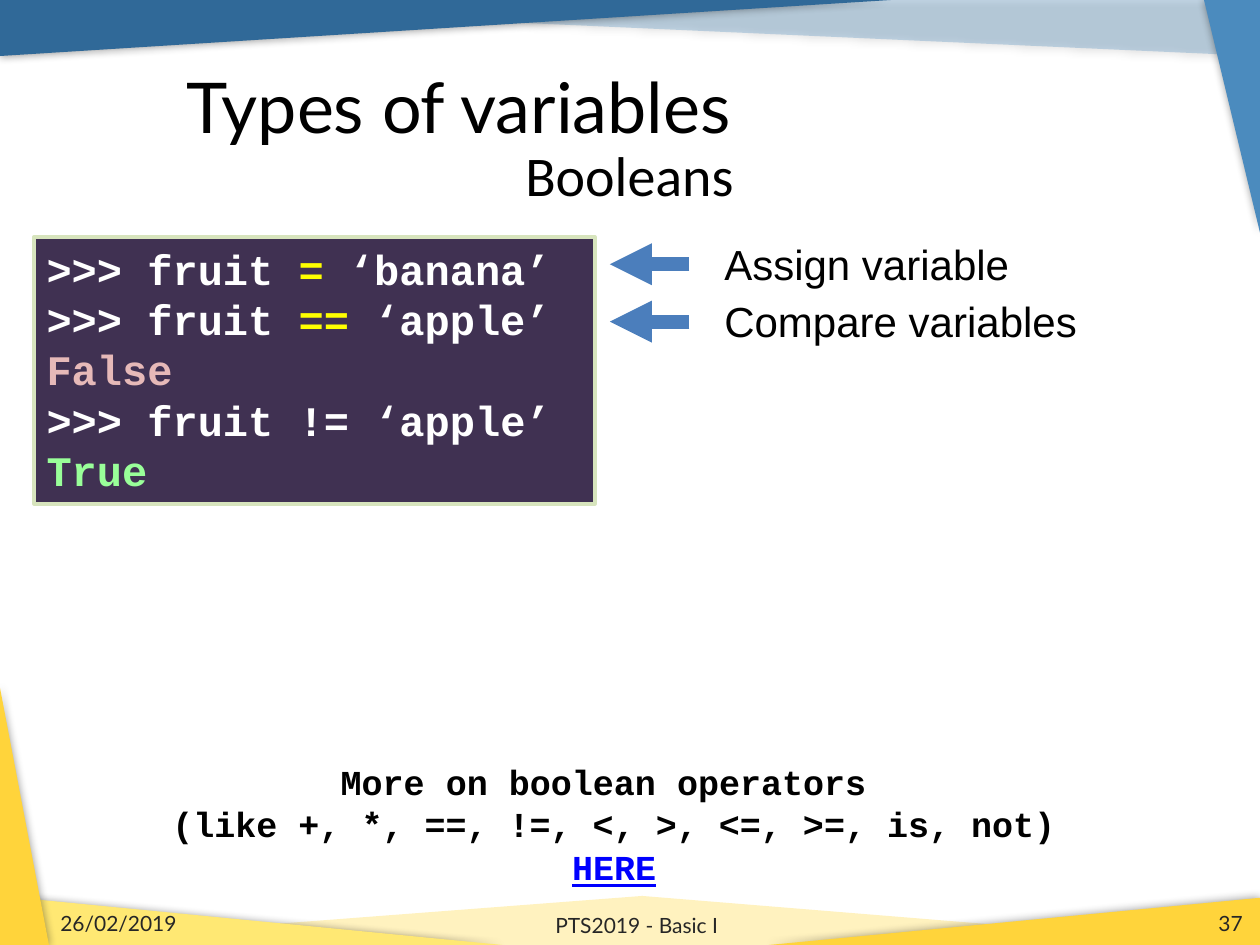
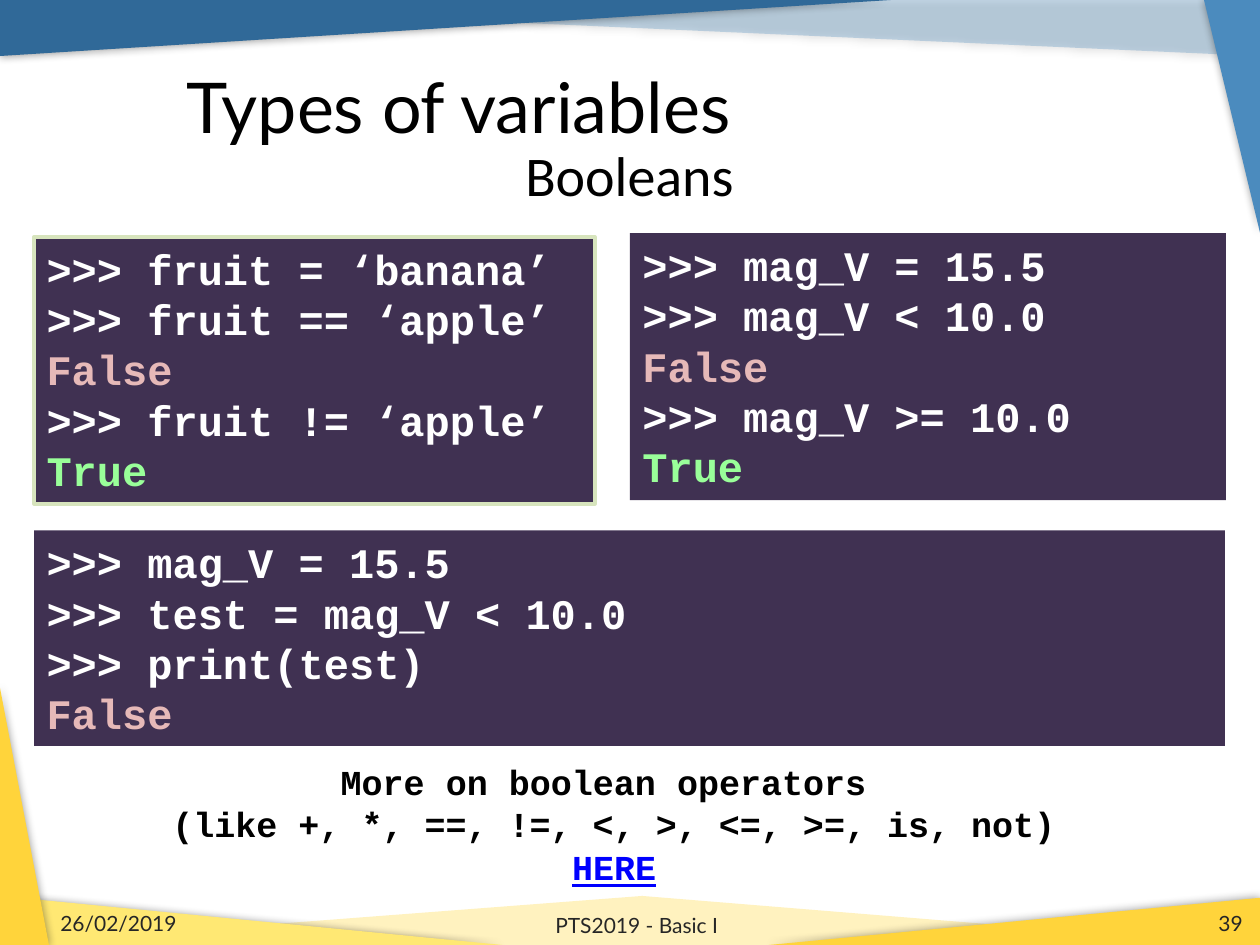
from lxml import etree
from pptx import Presentation
from pptx.dml.color import RGBColor
from pptx.enum import shapes, text
from pptx.oxml import ns
from pptx.util import Pt

BLACK = RGBColor(0x00, 0x00, 0x00)
WHITE = RGBColor(0xFF, 0xFF, 0xFF)
GREY = RGBColor(0x26, 0x26, 0x26)
DEEP_BLUE = RGBColor(0x30, 0x69, 0x98)
SKY_BLUE = RGBColor(0x4B, 0x8B, 0xBE)
ARROW_BLUE = RGBColor(0x4B, 0x7E, 0xBC)
LINK_BLUE = RGBColor(0x00, 0x00, 0xFF)
GOLD = RGBColor(0xFF, 0xD4, 0x3B)
LEMON = RGBColor(0xFF, 0xE8, 0x73)
CREAM = RGBColor(0xFF, 0xF2, 0xBF)
PURPLE = RGBColor(0x40, 0x31, 0x52)
PALE_GREEN = RGBColor(0xD7, 0xE4, 0xBD)
YELLOW = RGBColor(0xFF, 0xFF, 0x00)
PINK = RGBColor(0xE6, 0xB9, 0xB8)
MINT = RGBColor(0x99, 0xFF, 0x99)

LEFT = text.PP_ALIGN.LEFT
CENTER = text.PP_ALIGN.CENTER
RIGHT = text.PP_ALIGN.RIGHT

WIDTH, HEIGHT = 720, 540
MARGIN = 19.5
CODE_TOP = 135.4

BANDS = [
    ([(9, 0), (719, 0), (719, 32)], SKY_BLUE, 30, True),
    ([(367, 512), (711, 540), (367, 540)], CREAM, 100, False),
    ([(0, 540), (367, 512), (367, 540)], CREAM, 100, False),
    ([(0, 512), (287, 540), (0, 540)], LEMON, 100, True),
    ([(439, 540), (720, 513), (720, 540)], GOLD, 100, True),
    ([(0, 0), (509, 0), (0, 32)], DEEP_BLUE, 100, True),
    ([(688, 0), (720, 0), (720, 133)], SKY_BLUE, 100, True),
    ([(0, 393), (28, 540), (0, 540)], GOLD, 100, True),
]

FALSE = [("False", PINK)]
TRUE = [("True", MINT)]


def typed(command):
    return [(">>> " + command, WHITE)]


def assignment(operator, value):
    return [(">>> fruit ", WHITE), (operator, YELLOW), (" " + value, WHITE)]


FRUIT_FRAME = (MARGIN, CODE_TOP, 320.4, 152.6)
PAGES = [
    {
        "number": "37",
        "code": [
            (FRUIT_FRAME, PALE_GREEN,
             [assignment("=", "‘banana’"), assignment("==", "‘apple’"), FALSE,
              typed("fruit != ‘apple’"), TRUE]),
        ],
        "labels": ["Assign variable", "Compare variables"],
    },
    {
        "number": "39",
        "code": [
            (FRUIT_FRAME, PALE_GREEN,
             [typed("fruit = ‘banana’"), typed("fruit == ‘apple’"), FALSE,
              typed("fruit != ‘apple’"), TRUE]),
            ((360, 133.2, 340.5, 152.6), None,
             [typed("mag_V = 15.5"), typed("mag_V < 10.0"), FALSE,
              typed("mag_V >= 10.0"), TRUE]),
            ((MARGIN, 303.1, 680.5, 123.1), None,
             [typed("mag_V = 15.5"), typed("test = mag_V < 10.0"),
              typed("print(test)"), FALSE]),
        ],
        "labels": [],
    },
]

OPERATORS = [
    [("More on boolean operators ", BLACK)],
    [("(like +, *, ==, !=, <, >, <=, >=, is, not)", BLACK)],
    [("HERE", LINK_BLUE)],
]
FOOTERS = [
    ("26/02/2019", (27.4, 519.1, 167.8, 16.6), LEFT),
    ("PTS2019 - Basic I", (249.8, 514.1, 228.2, 28.8), CENTER),
    (None, (549.4, 519.1, 167.8, 17.3), RIGHT),
]


def points(values):
    return [Pt(value) for value in values]


def add_xml(parent, tag, **attributes):
    return etree.SubElement(parent, ns.qn(tag), attributes)


def write(box, lines, font, size, align=LEFT, bold=False):
    frame = box.text_frame
    frame.text = "\n".join("".join(words for words, _ in line) for line in lines)
    for para, line in zip(frame.paragraphs, lines):
        para.alignment = align
        para.text = ""
        for words, colour in line:
            span = para.add_run()
            span.text = words
            span.font.name = font
            span.font.size = Pt(size)
            span.font.bold = bold
            span.font.color.rgb = colour
            span.font.underline = colour == LINK_BLUE


def add_text(page, frame, lines, font, size, align=LEFT, bold=False):
    box = page.shapes.add_textbox(*points(frame))
    box.text_frame.word_wrap = True
    write(box, lines, font, size, align, bold)
    return box


def add_bands(page, layout):
    for index, (corners, colour, opacity, shaded) in enumerate(BANDS):
        builder = page.shapes.build_freeform(*corners[0], scale=Pt(1))
        builder.add_line_segments(corners[1:])
        band = builder.convert_to_shape()
        band.fill.solid()
        band.fill.fore_color.rgb = colour
        band.line.fill.background()
        band.shadow.inherit = False
        properties = band.element.spPr
        if opacity < 100:
            tint = properties.find(ns.qn("a:solidFill"))[0]
            add_xml(tint, "a:alpha", val=str(opacity * 1000))
        if shaded:
            effects = properties.find(ns.qn("a:effectLst"))
            shade = add_xml(effects, "a:outerShdw", blurRad=str(Pt(5)), dist="0", dir="0")
            add_xml(add_xml(shade, "a:srgbClr", val="000000"), "a:alpha", val="40000")
        layout.shapes.element.insert(2 + index, band.element)


def add_code(page, frame, border, lines):
    box = page.shapes.add_shape(shapes.MSO_SHAPE.RECTANGLE, *points(frame))
    box.shadow.inherit = False
    box.fill.solid()
    box.fill.fore_color.rgb = PURPLE
    if border:
        box.line.color.rgb = border
        box.line.width = Pt(2)
    else:
        box.line.fill.background()
    box.text_frame.vertical_anchor = text.MSO_ANCHOR.TOP
    write(box, lines, "Courier New", 24, bold=True)


def add_label(page, row, words):
    offset = row * 32.8
    y = 151 + offset
    arrow = page.shapes.add_connector(
        shapes.MSO_CONNECTOR.STRAIGHT, *points((394, y, 348.5, y)))
    arrow.line.color.rgb = ARROW_BLUE
    arrow.line.width = Pt(8)
    add_xml(arrow.line._get_or_add_ln(), "a:tailEnd", type="triangle")
    add_xml(arrow.element.spPr, "a:effectLst")
    add_text(page, (406.8, 132.7 + offset, 220, 36), [[(words, BLACK)]], "Arial", 24)


def add_title(page):
    title = page.shapes.title
    title.left, title.top, title.width, title.height = points((99.4, 31.7, 584.6, 56.9))
    title.text_frame.vertical_anchor = text.MSO_ANCHOR.MIDDLE
    write(title, [[("Types of variables", BLACK)]], "Lato", 40)
    add_text(page, (MARGIN, 77, 680.5, 56.9), [[("Booleans", BLACK)]], "Calibri", 32, CENTER)


def add_footers(page, number):
    for words, frame, align in FOOTERS:
        box = add_text(page, frame, [[(words or number, GREY)]], "Lato", 12, align)
        box.text_frame.vertical_anchor = text.MSO_ANCHOR.MIDDLE


def main():
    deck = Presentation()
    deck.slide_width, deck.slide_height = Pt(WIDTH), Pt(HEIGHT)
    layout = deck.slide_layouts.get_by_name("Title Only")
    for index, content in enumerate(PAGES):
        page = deck.slides.add_slide(layout)
        if index == 0:
            add_bands(page, layout)
        add_title(page)
        for frame, border, lines in content["code"]:
            add_code(page, frame, border, lines)
        for row, words in enumerate(content["labels"]):
            add_label(page, row, words)
        add_text(page, (64.8, 431.3, 572.4, 79.9), OPERATORS, "Courier New", 20, CENTER, True)
        add_footers(page, content["number"])
    deck.save("out.pptx")


if __name__ == "__main__":
    main()
